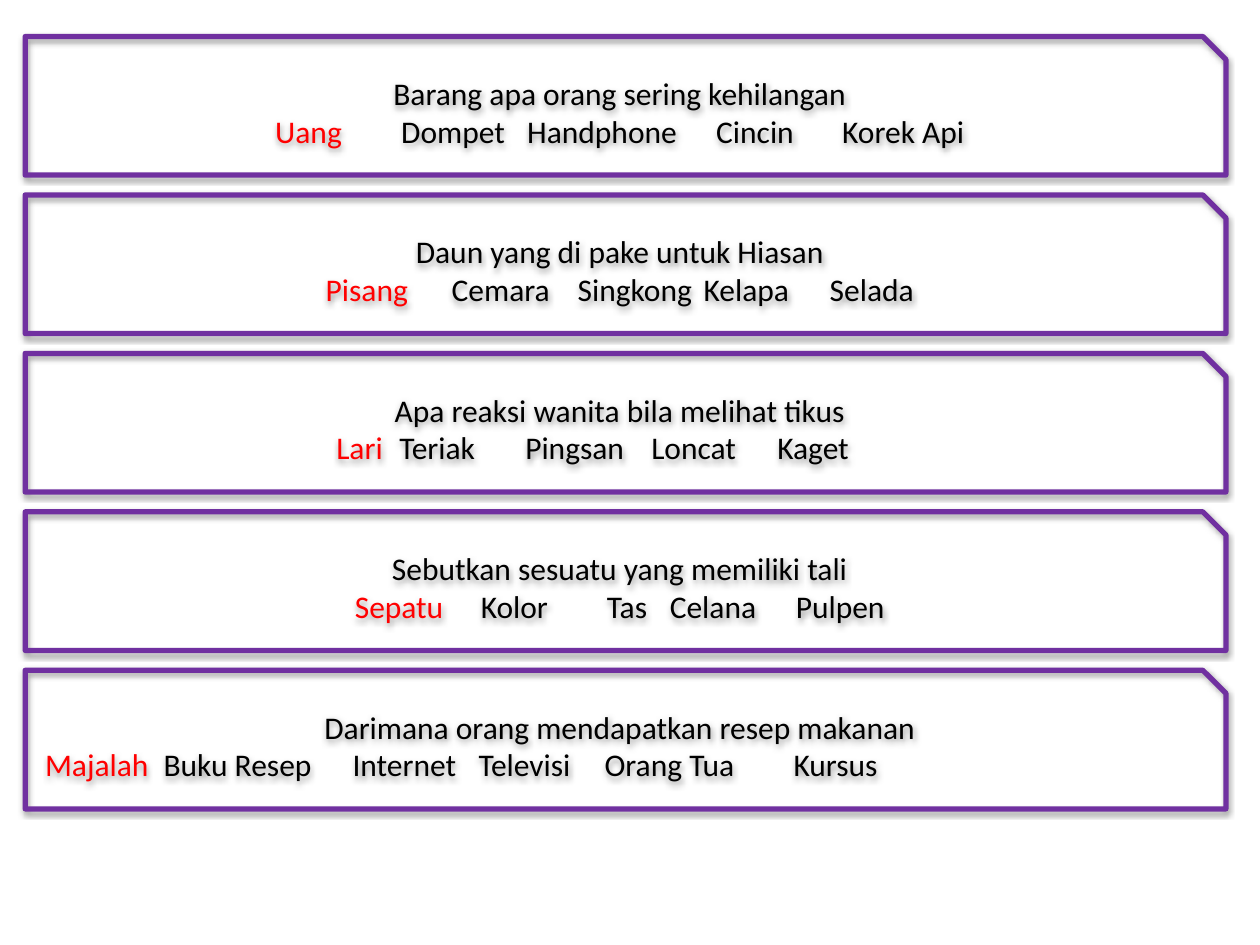
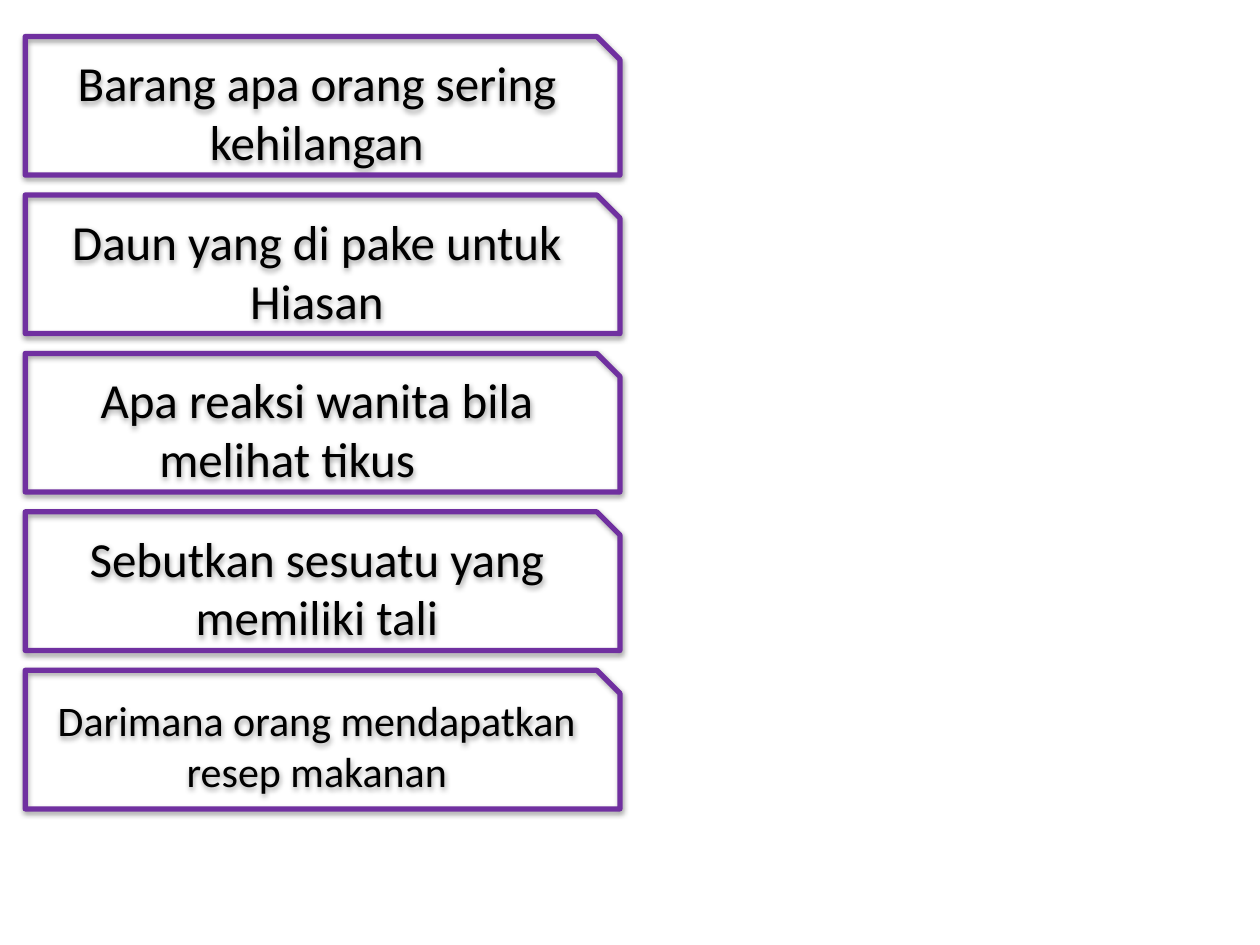
from dataclasses import dataclass

from lxml import etree
from pptx import Presentation
from pptx.dml.color import RGBColor
from pptx.enum.shapes import MSO_SHAPE
from pptx.enum.text import MSO_ANCHOR, PP_ALIGN
from pptx.oxml import parse_xml
from pptx.oxml.ns import nsdecls, qn
from pptx.util import Inches, Pt

SNIPPED = MSO_SHAPE.SNIP_1_RECTANGLE
MIDDLE = MSO_ANCHOR.MIDDLE
CENTER, LEFT = PP_ALIGN.CENTER, PP_ALIGN.LEFT


@dataclass(frozen=True)
class Theme:
    font: str = "Calibri"
    ink: RGBColor = RGBColor(0, 0, 0)
    accent: RGBColor = RGBColor(255, 0, 0)
    border: RGBColor = RGBColor(0x70, 0x30, 0xA0)
    border_width: float = 3
    small: int = 18
    medium: int = 24
    large: int = 28


THEME = Theme()

ROUNDS = [
    ("Barang apa orang sering kehilangan",
     ["Uang", "Dompet", "Handphone", "Cincin", "Korek Api"]),
    ("Daun yang di pake untuk Hiasan",
     ["Pisang", "Cemara", "Singkong", "Kelapa", "Selada"]),
    ("Apa reaksi wanita bila melihat tikus",
     ["Lari", "Teriak", "Pingsan", "Loncat", "Kaget", ""]),
    ("Sebutkan sesuatu yang memiliki tali",
     ["Sepatu", "Kolor", "Tas", "Celana", "Pulpen"]),
    ("Darimana orang mendapatkan resep makanan",
     ["Majalah", "Buku Resep", "Internet", "Televisi", "Orang Tua", "Kursus"]),
]
WIDE_ROUND = 4
WIDE_INDENT = 0.06
WIDE_STOPS = [1.22, 3.06, 4.28, 6.06, 8.51]
TABBED_QUESTION = 2
LONG_QUESTION = 4

BOX_LEFT, BOX_TOP, BOX_HEIGHT, BOX_PITCH = 0.2, 0.29, 1.1, 1.2575
FULL_WIDTH, HALF_WIDTH = 9.53, 4.72

SHADOW = (
    f'<a:effectLst {nsdecls("a")}>'
    '<a:outerShdw blurRad="40000" dist="20000" dir="5400000" rotWithShape="0">'
    '<a:srgbClr val="000000"><a:alpha val="38000"/></a:srgbClr>'
    '</a:outerShdw></a:effectLst>'
)


def add_box(page, row, width):
    box = page.shapes.add_shape(
        SNIPPED, Inches(BOX_LEFT), Inches(BOX_TOP + row * BOX_PITCH),
        Inches(width), Inches(BOX_HEIGHT))
    box.shadow.inherit = False
    properties = box.fill._xPr
    box.fill.background()
    box.line.color.rgb = THEME.border
    box.line.width = Pt(THEME.border_width)
    properties.replace(properties.find(qn("a:effectLst")), parse_xml(SHADOW))
    box.text_frame.word_wrap = True
    box.text_frame.vertical_anchor = MIDDLE
    return box


def write(para, spans, size):
    para.alignment = CENTER
    for text, color in spans:
        span = para.add_run()
        span.text = text
        span.font.name = THEME.font
        span.font.size = Pt(size)
        span.font.color.rgb = color


def set_tab_stops(para, indent, stops):
    para.alignment = LEFT
    properties = para._p.get_or_add_pPr()
    properties.set("marL", "0")
    properties.set("indent", str(Inches(indent)))
    tabs = etree.SubElement(properties, qn("a:tabLst"))
    for stop in stops:
        etree.SubElement(tabs, qn("a:tab"), pos=str(Inches(stop)), algn="l")


def add_answer_page(deck):
    page = deck.slides.add_slide(deck.slide_layouts[6])
    for row, (question, (best, *others)) in enumerate(ROUNDS):
        frame = add_box(page, row, FULL_WIDTH).text_frame
        write(frame.paragraphs[0], [(question, THEME.ink)], THEME.small)
        answers = frame.add_paragraph()
        write(answers, [(best + "\t", THEME.accent),
                        ("\t".join(others), THEME.ink)], THEME.small)
        if row == WIDE_ROUND:
            set_tab_stops(answers, WIDE_INDENT, WIDE_STOPS)


def add_question_page(deck):
    page = deck.slides.add_slide(deck.slide_layouts[6])
    for row, (question, _) in enumerate(ROUNDS):
        frame = add_box(page, row, HALF_WIDTH).text_frame
        text = question + "\t" if row == TABBED_QUESTION else question
        size = THEME.medium if row == LONG_QUESTION else THEME.large
        write(frame.paragraphs[0], [(text, THEME.ink)], size)


deck = Presentation()
deck.slide_width, deck.slide_height = Inches(10), Inches(7.5)
add_answer_page(deck)
add_question_page(deck)
deck.save("out.pptx")
